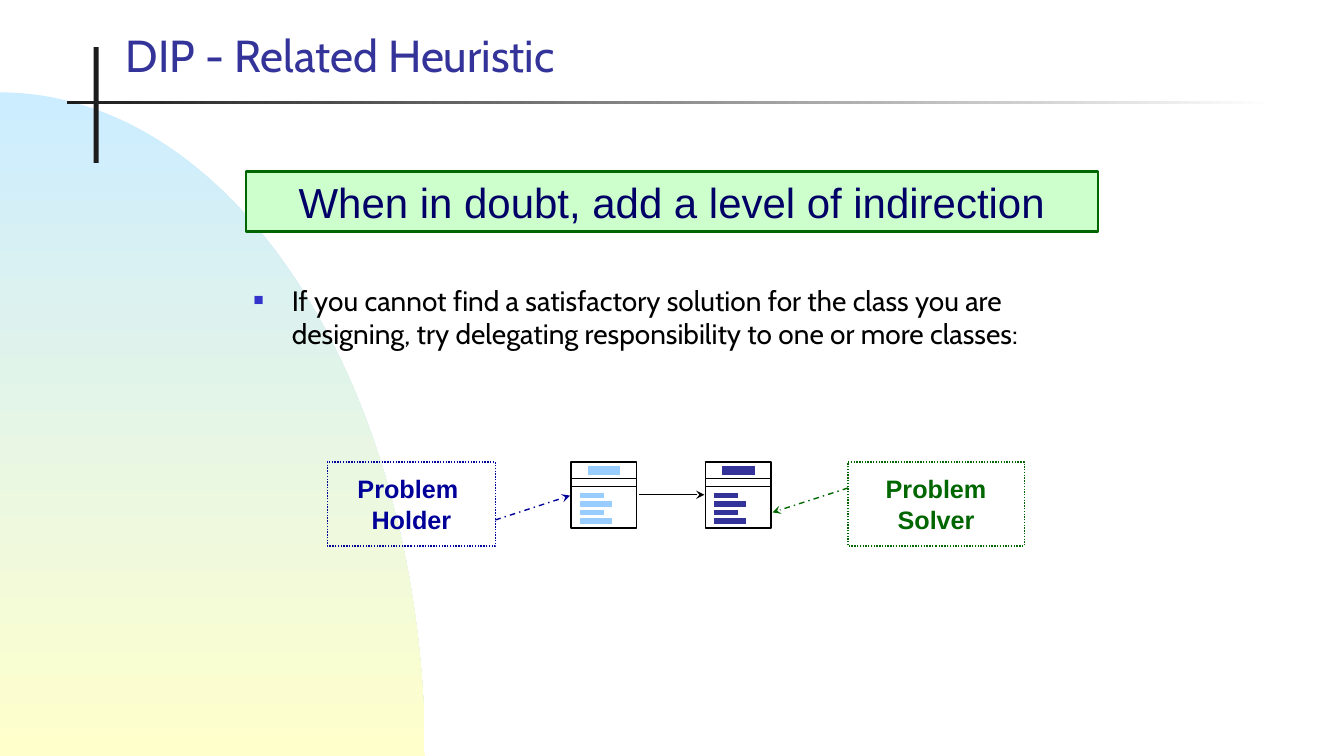
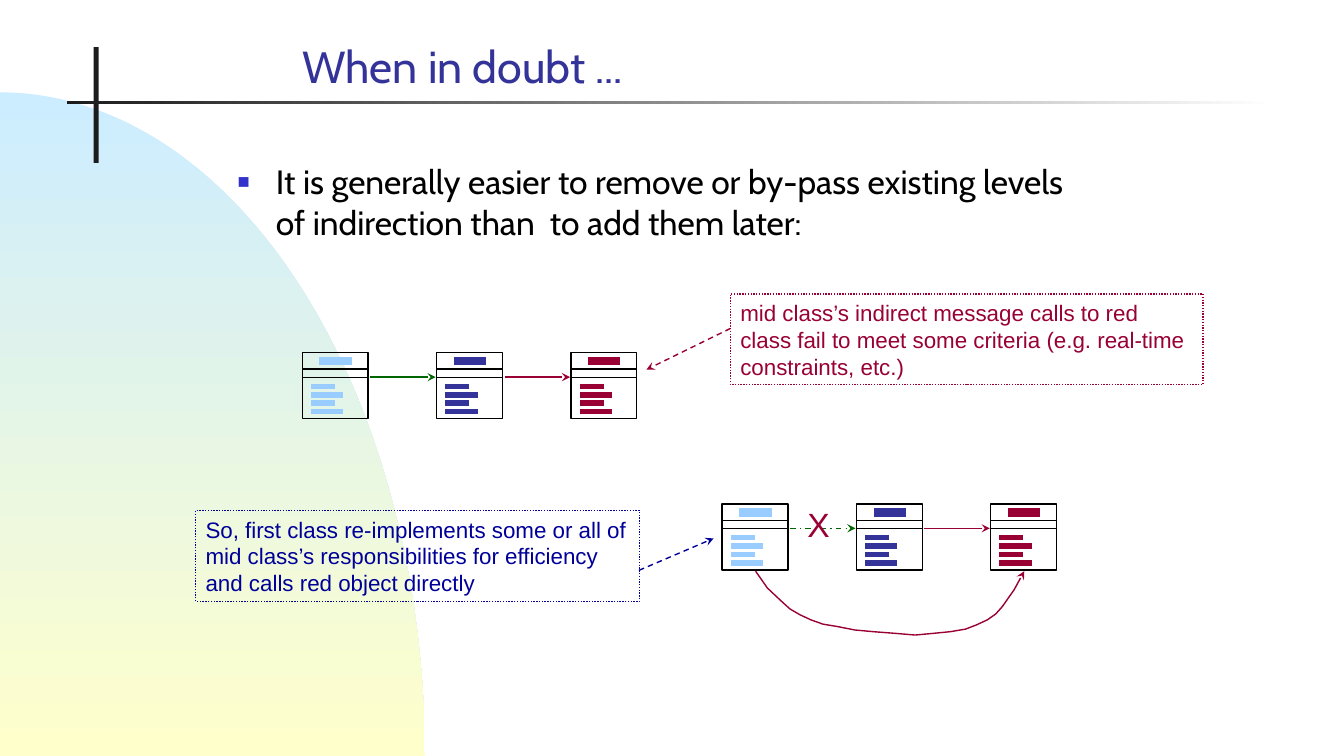
import math
from dataclasses import dataclass

from lxml import etree
from pptx import Presentation
from pptx import util as u
from pptx.dml.color import RGBColor
from pptx.enum import dml, shapes, text
from pptx.oxml.ns import qn

COLUMNS, ROWS = 160, 90  # grid cells of a twelfth of an inch
CLASS_SIDE = 7.85
CLASS_PITCH = 16


@dataclass(frozen=True)
class Theme:
    heading_font: str = "Cabin"
    label_font: str = "Arial"
    title_size: int = 32
    banner_size: int = 30
    large_size: int = 24
    body_size: int = 20
    label_size: int = 18
    note_size: int = 16
    title: str = "333399"
    bullet: str = "3333CC"
    ink: str = "000000"
    rule: str = "1C1C1C"
    paper: str = "FFFFFF"
    sky: str = "CCECFF"
    sand: str = "FFFFCC"
    mint: str = "CCFFCC"
    banner_text: str = "000066"
    first: str = "99CCFF"
    middle: str = "333399"
    last: str = "990033"
    blue: str = "000099"
    green: str = "006600"


THEME = Theme()
DASH = dml.MSO_LINE


def rgb(code):
    return RGBColor.from_string(code)


def cells(*counts):
    return [u.Inches(count / 12) for count in counts]


def set_line(shape, color, width=1, dash=None, arrow=False):
    shape.line.color.rgb = rgb(color)
    shape.line.width = u.Pt(width)
    if dash is not None:
        shape.line.dash_style = dash
    if arrow:
        outline = shape.element.spPr.find(qn("a:ln"))
        etree.SubElement(outline, qn("a:tailEnd"), type="stealth")


def set_gradient(shape, colors, angle):
    shape.fill.gradient()
    shape.fill.gradient_angle = angle
    for stop, color in zip(shape.fill.gradient_stops, colors):
        stop.color.rgb = rgb(color)


def write(shape, words, size, color, font=THEME.label_font, bold=False,
          align=text.PP_ALIGN.LEFT, anchor=text.MSO_ANCHOR.TOP, wrap=True):
    frame = shape.text_frame
    frame.auto_size = text.MSO_AUTO_SIZE.NONE
    frame.word_wrap = wrap
    frame.vertical_anchor = anchor
    paragraph = frame.paragraphs[0]
    paragraph.text = words
    paragraph.alignment = align
    paragraph.space_before = u.Pt(0)
    for run in paragraph.runs:
        run.font.name = font
        run.font.size = u.Pt(size)
        run.font.bold = bold
        run.font.color.rgb = rgb(color)


def move(shape, area):
    shape.left, shape.top, shape.width, shape.height = cells(*area)


def add_bullet(paragraph):
    props = paragraph._p.get_or_add_pPr()
    indent = u.Inches(0.38)
    props.set("marL", str(indent))
    props.set("indent", str(-indent))
    tint = etree.SubElement(props, qn("a:buClr"))
    etree.SubElement(tint, qn("a:srgbClr"), val=THEME.bullet)
    etree.SubElement(props, qn("a:buSzPct"), val="60000")
    etree.SubElement(props, qn("a:buFont"), typeface=THEME.label_font)
    etree.SubElement(props, qn("a:buChar"), char="■")


def add_box(parent, area, fill=None):
    box = parent.shapes.add_shape(shapes.MSO_SHAPE.RECTANGLE, *cells(*area))
    box.shadow.inherit = False
    if fill:
        box.fill.solid()
        box.fill.fore_color.rgb = rgb(fill)
    else:
        box.fill.background()
    box.line.fill.background()
    return box


def add_path(slide, points, close):
    points = [cells(*point) for point in points]
    builder = slide.shapes.build_freeform(*points[0])
    builder.add_line_segments(points[1:], close=close)
    outline = builder.convert_to_shape()
    outline.shadow.inherit = False
    return outline


def add_line(parent, start, end, color, **style):
    line = parent.shapes.add_connector(
        shapes.MSO_CONNECTOR.STRAIGHT, *cells(*start, *end))
    set_line(line, color, **style)
    etree.SubElement(line.element.spPr, qn("a:effectLst"))


def add_arrow(slide, start, end, color, dash=None):
    add_line(slide, start, end, color, dash=dash, arrow=True)


def add_note(slide, area, words, color, size=THEME.note_size, **style):
    """Add a label in a dotted frame of the text's colour."""
    note = add_box(slide, area)
    set_line(note, color, dash=DASH.ROUND_DOT)
    write(note, words, size, color, **style)


def add_class(slide, left, top, color):
    """Add a class symbol: name compartment, divider and member bars."""
    group = slide.shapes.add_group_shape()
    set_line(add_box(group, (left, top, CLASS_SIDE, CLASS_SIDE)), THEME.ink)

    def stroke(x, y, length, tint, width):
        add_line(group, (left + x, top + y), (left + x + length, top + y),
                 tint, width=width)

    for y in (1.95, 2.95):
        stroke(0, y, CLASS_SIDE, THEME.ink, 1)
    stroke(2.05, 1, 3.85, color, 6)
    for row in range(4):
        stroke(1.05, 4 + row, (2.85, 3.85)[row % 2], color, 4)


def add_class_chain(slide, left, top, colors, links, link_row=2.9):
    """Add classes in a row; links holds (colour, dash) for each gap."""
    for index, color in enumerate(colors):
        add_class(slide, left + index * CLASS_PITCH, top, color)
    for index, (color, dash) in enumerate(links):
        x, y = left + index * CLASS_PITCH, top + link_row
        add_arrow(slide, (x + 8.1, y), (x + CLASS_PITCH - 0.1, y), color, dash)


def add_slide(deck, title, title_area, point, point_area, point_size):
    slide = deck.slides.add_slide(deck.slide_layouts[1])
    heading, body = slide.placeholders
    move(heading, title_area)
    write(heading, title, THEME.title_size, THEME.title, THEME.heading_font,
          anchor=text.MSO_ANCHOR.MIDDLE)
    move(body, point_area)
    add_bullet(body.text_frame.paragraphs[0])
    write(body, point, point_size, THEME.ink, THEME.heading_font)
    return slide


def move_backdrop_to_layout(slide):
    """Draw the shared backdrop and hand it to the slide's layout."""
    layout = slide.slide_layout
    for footer in list(layout.placeholders)[2:]:
        footer.element.getparent().remove(footer.element)
    steps = 90
    angles = [math.pi / 2 * step / steps for step in range(steps + 1)]
    arc = [(50.6 * math.sin(a), ROWS - 79 * math.cos(a)) for a in angles]
    dome = add_path(slide, [(0, ROWS), *arc], close=True)
    set_gradient(dome, (THEME.sky, THEME.sand), 270)
    dome.line.fill.background()
    upright = add_box(slide, (11.15, 5.6, 0.6, 13.8), THEME.rule)
    rule = add_box(slide, (8, 12, 143.9, 0.4))
    set_gradient(rule, (THEME.rule, THEME.paper), 0)
    for part in (dome, upright, rule):
        layout.shapes.element.append(part.element)


def build_heuristic(deck):
    slide = add_slide(
        deck, "DIP - Related Heuristic", (13.8, 3.36, 91.7, 6.36),
        "If you cannot find a satisfactory solution for the class you are "
        "designing, try delegating responsibility to one or more classes:",
        (29, 33.1, 106, 13.2), THEME.body_size)
    move_backdrop_to_layout(slide)
    banner = add_box(slide, (29.3, 20.4, 101.5, 7.2), THEME.mint)
    set_line(banner, THEME.green, width=2)
    write(banner, "When in doubt, add a level of indirection",
          THEME.banner_size, THEME.banner_text, align=text.PP_ALIGN.CENTER)
    for area, words, color in (
            ((39, 55, 20, 10), "Problem \nHolder", THEME.blue),
            ((101, 55, 21, 10), "Problem\nSolver", THEME.green)):
        add_note(slide, area, words, color, THEME.label_size, bold=True,
                 align=text.PP_ALIGN.CENTER, anchor=text.MSO_ANCHOR.MIDDLE,
                 wrap=False)
    add_arrow(slide, (101, 58.1), (92, 61), THEME.green, DASH.DASH_DOT)
    add_arrow(slide, (59, 61.9), (67.9, 59), THEME.blue, DASH.DASH_DOT)
    add_class_chain(slide, 68, 55, (THEME.first, THEME.middle),
                    [(THEME.ink, None)], link_row=3.9)


def build_bypass(deck):
    slide = add_slide(
        deck, "When in doubt ...", (34.8, 6.24, 70.7, 3.12),
        "It is generally easier to remove or by-pass existing levels of "
        "indirection than  to add them later:",
        (27.1, 18.6, 104.8, 55.6), THEME.large_size)
    classes = (THEME.first, THEME.middle, THEME.last)
    for left, top, first_dash in ((36, 42, None), (86, 60, DASH.DASH_DOT)):
        add_class_chain(slide, left, top, classes,
                        [(THEME.green, first_dash), (THEME.last, None)])

    bypass = add_path(slide, [
        (90, 68), (91.4, 70), (93.1, 71.6), (94.1, 72.5), (95.3, 73.2),
        (96.6, 73.8), (98, 74.3), (99.8, 74.6), (101.8, 75), (104, 75.2),
        (106.6, 75.4), (109, 75.6), (111.2, 75.4), (113.2, 75.2),
        (115, 74.9), (116.3, 74.4), (117.6, 73.8), (118.6, 73.1),
        (119.4, 72.2), (120.8, 70.2), (122, 68)], close=False)
    bypass.fill.background()
    set_line(bypass, THEME.last, arrow=True)

    cross = slide.shapes.add_textbox(*cells(95, 59.4, 5, 6))
    write(cross, "X", THEME.large_size, THEME.last, wrap=False)
    add_note(slide, (87, 35, 56.3, 10.8),
             "mid class’s indirect message calls to red class fail to meet "
             "some criteria (e.g. real-time constraints, etc.)", THEME.last)
    add_arrow(slide, (87, 39.1), (77, 44), THEME.last, DASH.DASH)
    add_note(slide, (23.3, 60.8, 52.9, 10.8),
             "So, first class re-implements some or all of mid class’s "
             "responsibilities for efficiency and calls red object directly",
             THEME.blue)
    add_arrow(slide, (76.1, 67.9), (85, 64.1), THEME.blue, DASH.DASH)


def main():
    deck = Presentation()
    deck.slide_width, deck.slide_height = u.Inches(13.34), u.Inches(ROWS / 12)
    build_heuristic(deck)
    build_bypass(deck)
    deck.save("out.pptx")


if __name__ == "__main__":
    main()
